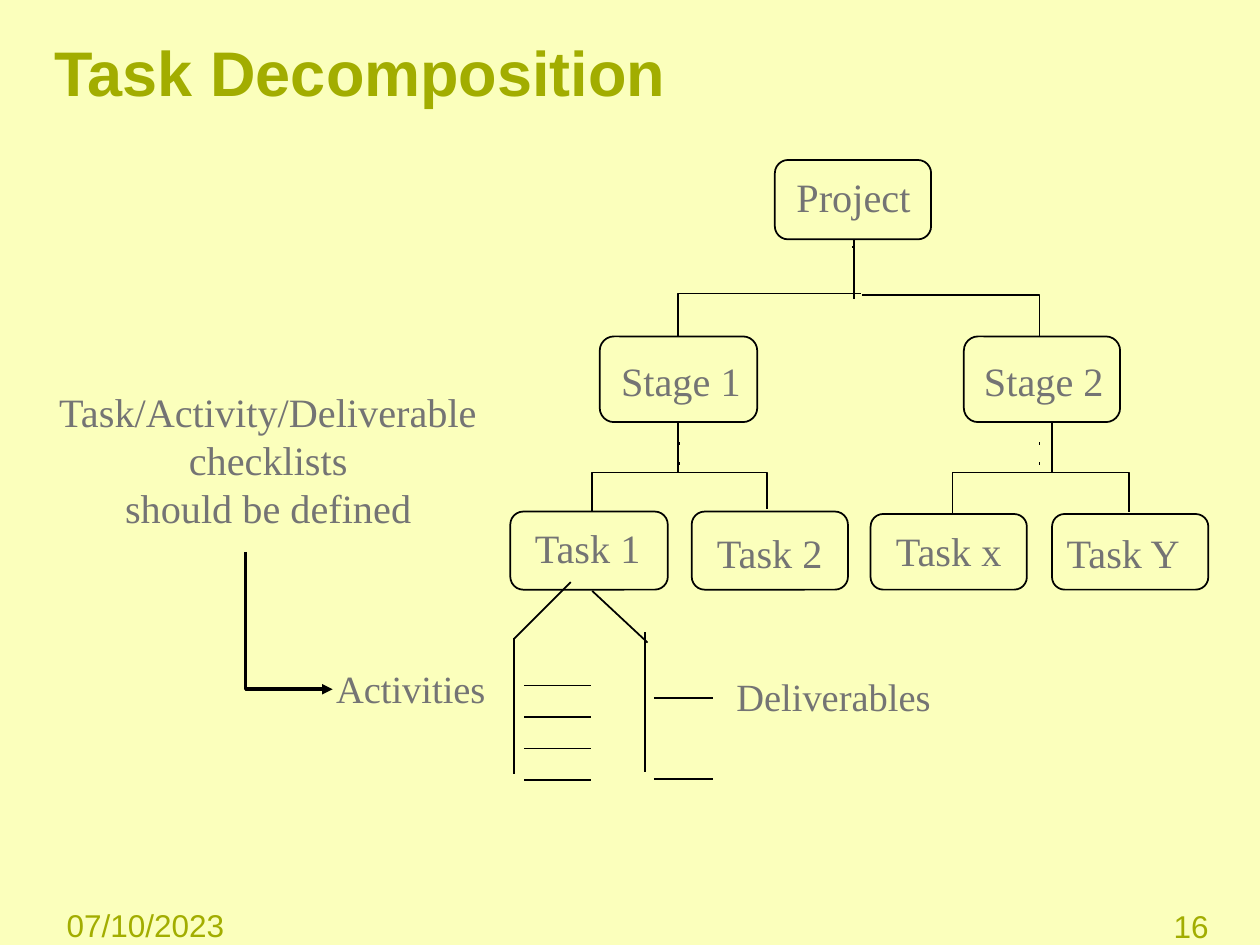
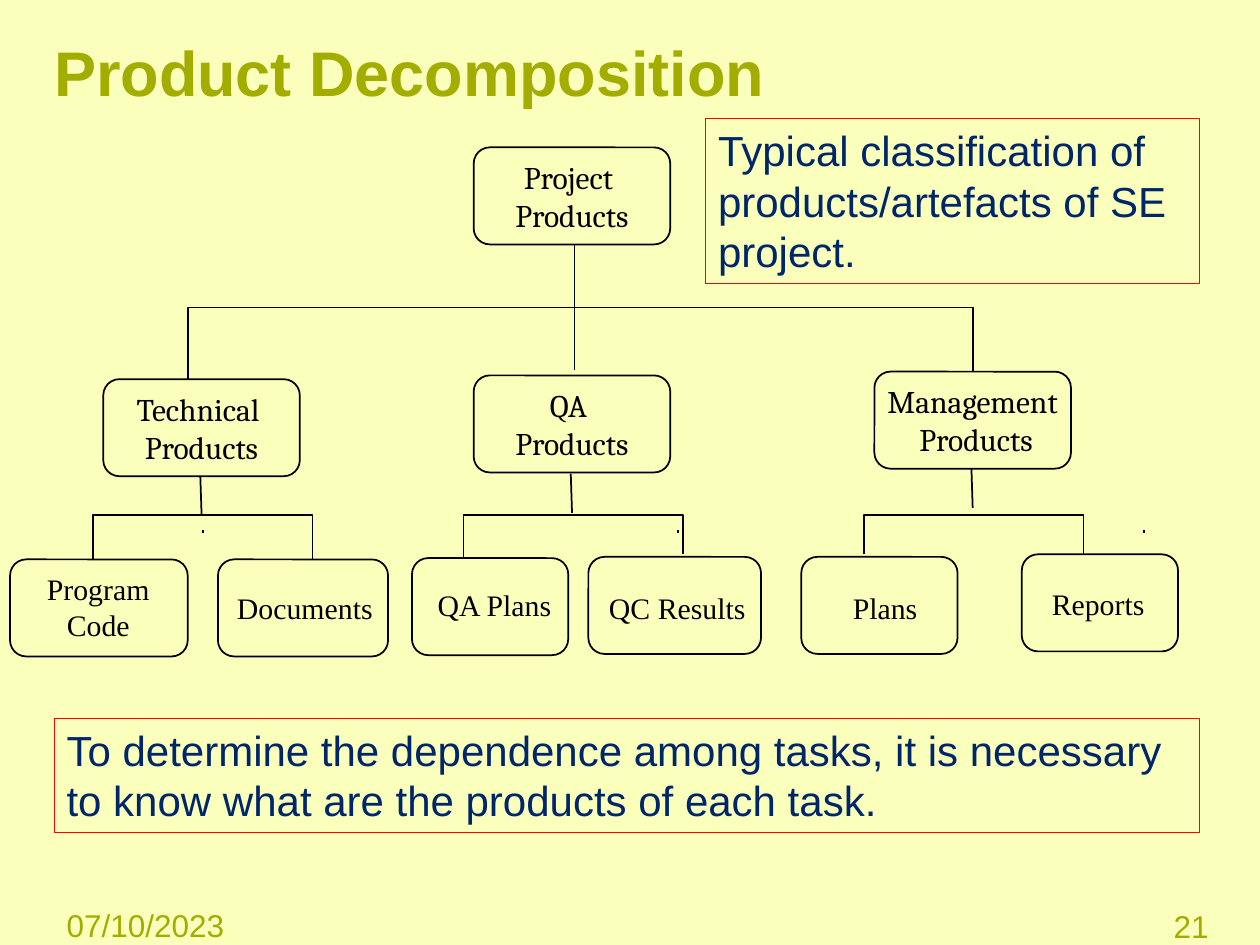
import pptx
import pptx.dml.color
import pptx.enum.shapes
import pptx.enum.text
import pptx.oxml.ns
import pptx.util
from lxml import etree

SHAPES = pptx.enum.shapes.MSO_SHAPE
ALIGN = pptx.enum.text.PP_ALIGN
ANCHOR = pptx.enum.text.MSO_ANCHOR

PAPER, OLIVE, GREY, BLACK, NAVY, RED = (
    "FBFFBC", "A2AD00", "747474", "000000", "00266A", "FF0000")
SANS, SERIF, BOOK = "Arial", "Times New Roman", "Cambria"

# The slide is a grid of 100 columns by 75 rows.
SLIDE_WIDTH, SLIDE_HEIGHT = pptx.util.Inches(10), pptx.util.Inches(7.5)
COLUMN, ROW = SLIDE_WIDTH / 100, SLIDE_HEIGHT / 75
DOT = 0.2


def color(hex_string):
    return pptx.dml.color.RGBColor.from_string(hex_string)


def add_xml(parent, tag, **attributes):
    return etree.SubElement(parent, pptx.oxml.ns.qn(tag), attributes)


def write(shape, text, size, font, hue, align=ALIGN.LEFT, anchor=ANCHOR.TOP,
          bold=False, wrap=True):
    frame = shape.text_frame
    frame.text = text
    frame.word_wrap = wrap
    frame.vertical_anchor = anchor
    for paragraph in frame.paragraphs:
        paragraph.alignment = align
        for run in paragraph.runs:
            run.font.size = pptx.util.Pt(size)
            run.font.name = font
            run.font.bold = bold
            run.font.color.rgb = color(hue)


def outline(shape, hue=BLACK, width=1):
    shape.shadow.inherit = False
    shape.fill.background()
    shape.line.color.rgb = color(hue)
    shape.line.width = pptx.util.Pt(width)
    return shape


class Region:
    """Part of a slide whose contents are placed from its own top left cell."""

    def __init__(self, slide, left, top):
        self.shapes = slide.shapes
        self.left, self.top = left, top

    def point(self, x, y):
        return round((self.left + x) * COLUMN), round((self.top + y) * ROW)

    def area(self, x, y, width, height):
        return (*self.point(x, y), round(width * COLUMN), round(height * ROW))

    def node(self, *cells):
        box = outline(self.shapes.add_shape(
            SHAPES.ROUNDED_RECTANGLE, *self.area(*cells)))
        box.adjustments[0] = 0.166
        return box

    def label(self, text, cells, size, hue):
        box = self.shapes.add_textbox(*self.area(*cells))
        frame = box.text_frame
        frame.margin_left = frame.margin_right = 0
        frame.margin_top = frame.margin_bottom = 0
        write(box, text, size, SERIF, hue, ALIGN.CENTER)

    def line(self, x1, y1, x2, y2):
        stroke = self.shapes.add_connector(
            pptx.enum.shapes.MSO_CONNECTOR.STRAIGHT,
            *self.point(x1, y1), *self.point(x2, y2))
        stroke.line.color.rgb = color(BLACK)
        stroke.line.width = pptx.util.Pt(1)
        add_xml(stroke._element.spPr, "a:effectLst")

    def dot(self, x, y):
        self.line(x, y, x, y + DOT)

    def elbow(self, start, corner, end, width=1):
        builder = self.shapes.build_freeform(*self.point(*start))
        builder.add_line_segments(
            [self.point(*corner), self.point(*end)], close=False)
        return outline(builder.convert_to_shape(), width=width)

    def branch(self, x1, y1, x2, y2):
        """Run across from the parent, then down to the child."""
        self.elbow((x1, y1), (x2, y1), (x2, y2))

    def note(self, text, *cells):
        box = outline(self.shapes.add_shape(
            SHAPES.RECTANGLE, *self.area(*cells)), RED, 0.75)
        write(box, text, 24, SANS, NAVY)


def style_template(deck):
    layout = deck.slide_layouts.get_by_name("Title Only")
    background = deck.slide_master.background.fill
    background.solid()
    background.fore_color.rgb = color(PAPER)
    return layout


def add_page(deck, layout, title, number):
    slide = deck.slides.add_slide(layout)
    page = Region(slide, 0, 0)
    heading = slide.shapes.title
    heading.left, heading.top, heading.width, heading.height = page.area(
        4.3, 2.1, 92.5, 7.1)
    heading.text_frame.margin_left = 0
    write(heading, title, 36, SANS, OLIVE, anchor=ANCHOR.MIDDLE, bold=True)
    footers = (
        ("07/10/2023", (4.3, 71.4, 18.7, 3.6), ALIGN.LEFT),
        (number, (88.5, 71.5, 8.4, 3.6), ALIGN.RIGHT),
    )
    for text, cells, align in footers:
        footer = slide.shapes.add_textbox(*page.area(*cells))
        write(footer, text, 18, SANS, OLIVE, align)
    return slide


def add_task_tree(tree):
    nodes = (
        ("Project", (21, 0, 12.4, 6.3), (21.6, 1, 11.3, 4.1)),
        ("Stage 1", (7.1, 14, 12.5, 6.8), (8, 15.6, 11.1, 4.1)),
        ("Stage 2", (36, 14, 12.4, 6.8), (36.8, 15.6, 11.1, 4.1)),
        ("Task 1", (0, 27.9, 12.5, 6.2), (1, 28.8, 10.3, 4.1)),
        ("Task 2", (14.4, 27.9, 12.4, 6.2), (15.5, 29.2, 10.2, 4.1)),
        ("Task x", (28.6, 28.1, 12.4, 6), (29.6, 29.1, 10.4, 4.1)),
        ("Task Y", (43, 28.1, 12.4, 6), (43, 29.2, 11.3, 4.1)),
    )
    for text, box, label in nodes:
        tree.node(*box)
        tree.label(text, label, 23, GREY)

    tree.branch(27.8, 10.6, 13.3, 14)
    tree.branch(27.9, 10.7, 42, 14)
    task_bar = 24.8
    for stage, task, task_top in ((13.4, 6.5, 27.9), (13.4, 20.4, 27.7),
                                  (42, 35.1, 28.1), (42, 49.1, 27.9)):
        tree.branch(stage, task_bar, task, task_top)
    tree.line(27.3, 6.3, 27.3, 11)
    for stem in (13.3, 43):
        tree.line(stem, 20.8, stem, task_bar)

    tree.dot(27.2, 6.8)
    for x in (13.4, 42):
        for y in (22.4, 24):
            tree.dot(x, y)


def add_task_contents(contents):
    contents.label("Activities", (0, 6.6, 13.8, 3.5), 22, GREY)
    contents.label("Deliverables", (31.2, 7.2, 18.5, 3.5), 22, GREY)
    contents.line(15.1, 4.5, 19.6, 0)
    contents.line(21.3, 0.7, 25.7, 4.8)
    contents.line(15.1, 4.4, 15.1, 15.2)
    contents.line(25.5, 4, 25.5, 15.1)
    for activity in range(4):
        y = 8.2 + 2.5 * activity
        contents.line(15.9, y, 21.2, y)
    for y in (9.2, 15.6):
        contents.line(26.2, y, 30.9, y)


def add_checklist_advice(advice):
    advice.label("Task/Activity/Deliverable\nchecklists\nshould be defined",
                 (0, 0, 37.6, 13.1), 23, GREY)
    arrow = advice.elbow((17, 13.1), (17, 24), (23.9, 24), width=2)
    add_xml(arrow.line._get_or_add_ln(), "a:tailEnd", type="triangle")


def add_product_tree(tree):
    groups = (
        ("Project \nProducts", 36.8, 0),
        ("Technical \nProducts", 7.4, 18.4),
        ("QA \nProducts", 36.8, 18.1),
        ("Management\n Products", 68.6, 17.8),
    )
    node_height = 7.7
    for text, x, y in groups:
        write(tree.node(x, y, 15.6, node_height), text, 18, BOOK, BLACK,
              ALIGN.CENTER, ANCHOR.MIDDLE, wrap=False)

    products = (
        ("Program Code", (0, 32.7, 14.1), (1, 33.6, 12, 7.6)),
        ("Documents", (16.5, 32.7, 13.5), (16.9, 35.1, 13, 3.6)),
        ("QA Plans", (31.9, 32.6, 12.4), (33.3, 34.9, 10.3, 3.1)),
        ("QC Results", (45.9, 32.5, 13.7), (47, 35.1, 11.9, 2.3)),
        ("Plans", (62.8, 32.5, 12.4), (65.9, 35.1, 7.1, 2.7)),
        ("Reports", (80.3, 32.3, 12.4), (80.9, 34.8, 10.9, 3.6)),
    )
    for text, box, label in products:
        tree.node(*box, node_height)
        tree.label(text, label, 17, BLACK)

    tree.line(44.8, node_height, 44.8, 17.7)
    tree.branch(52, 12.7, 14.1, 18.4)
    tree.branch(52, 12.7, 76.4, 17.8)
    product_bar = 29.2
    for center, group_bottom, left_top, right_top in (
            (15.2, 26.1, 32.7, 32.7),
            (44.6, 25.9, 32.6, 32.3),
            (76.4, 25.5, 32.3, 32.3)):
        tree.line(center - 0.1, group_bottom, center, group_bottom + 3.1)
        tree.branch(center, product_bar, center - 8.6, left_top)
        tree.branch(center, product_bar, center + 8.8, right_top)
    for x in (15.3, 53, 90):
        tree.dot(x, 30.4)


def add_task_slide(deck, layout):
    slide = add_page(deck, layout, "Task Decomposition", "16")
    add_task_tree(Region(slide, 40.5, 12.7))
    add_task_contents(Region(slide, 25.7, 46.2))
    add_checklist_advice(Region(slide, 2.5, 30.7))


def add_product_slide(deck, layout):
    slide = add_page(deck, layout, "Product Decomposition", "21")
    add_product_tree(Region(slide, 0.8, 11.7))
    notes = Region(slide, 4.3, 9.4)
    notes.note("To determine the dependence among tasks, it is necessary "
               "to know what are the products of each task.",
               0, 47.6, 90.9, 9.1)
    notes.note("Typical classification of products/artefacts of SE project.",
               51.7, 0, 39.2, 13.1)


def main():
    deck = pptx.Presentation()
    deck.slide_width, deck.slide_height = SLIDE_WIDTH, SLIDE_HEIGHT
    layout = style_template(deck)
    add_task_slide(deck, layout)
    add_product_slide(deck, layout)
    deck.save("out.pptx")


if __name__ == "__main__":
    main()
